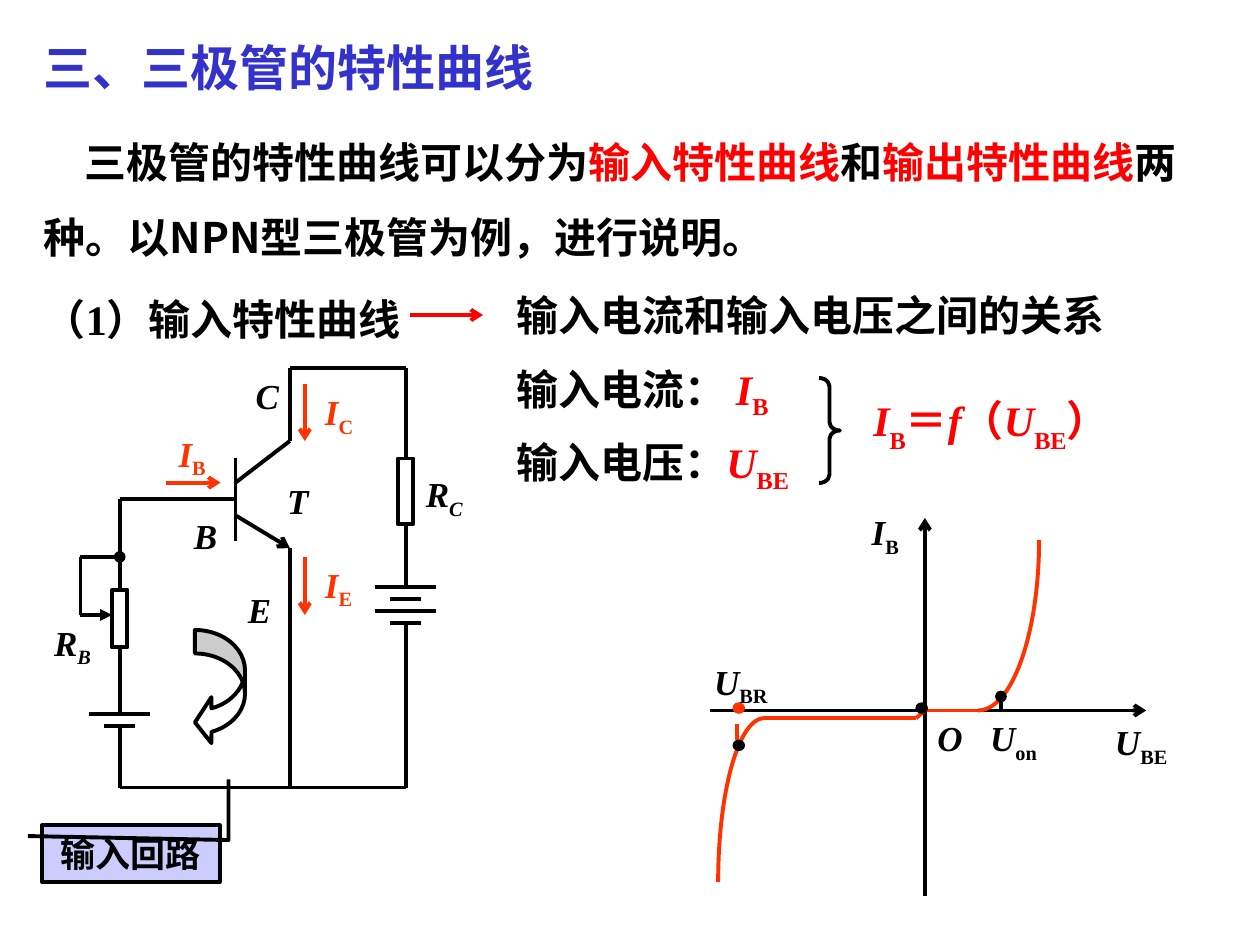
"""Build the slide on transistor characteristic curves with its circuit and input curve."""
from itertools import pairwise

from lxml.etree import SubElement
from pptx import Presentation
from pptx.dml.color import RGBColor
from pptx.enum.dml import MSO_LINE
from pptx.enum.shapes import MSO_CONNECTOR, MSO_SHAPE
from pptx.enum.text import MSO_ANCHOR, MSO_AUTO_SIZE, PP_ALIGN
from pptx.oxml.ns import qn
from pptx.util import Pt

BLACK = RGBColor(0x00, 0x00, 0x00)
WHITE = RGBColor(0xFF, 0xFF, 0xFF)
BLUE = RGBColor(0x33, 0x33, 0xCC)
RED = RGBColor(0xFF, 0x00, 0x00)
ORANGE = RGBColor(0xFF, 0x33, 0x00)
LILAC = RGBColor(0xCC, 0xCC, 0xFF)
TIMES, NOTO = "Times New Roman", "Noto Sans CJK SC"


def words(text, colour=BLACK, font=TIMES, italic=False, drop=0):
    return text, colour, font, italic, drop


def symbol(letter, index="", colour=BLACK, italic_index=False, drop=25):
    runs = [words(letter, colour, italic=True)]
    if index:
        runs.append(words(index, colour, italic=italic_index, drop=drop))
    return runs


TITLE = [words("三、", BLUE), words("三极管的特性曲线", BLUE, NOTO)]
INTRO = [
    words("三极管的特性曲线可以分为", font=NOTO),
    words("输入特性曲线", RED, NOTO),
    words("和", font=NOTO),
    words("输出特性曲线", RED, NOTO),
    words("两种。以NPN型三极管为例，进行说明。", font=NOTO),
]
FORMULA = [
    *symbol("I", "B", RED, drop=30),
    words("＝", RED, NOTO),
    words("f", RED, italic=True),
    words("（", RED, NOTO),
    *symbol("U", "BE", RED, drop=30),
    words("）", RED, NOTO),
]
STATEMENTS = [
    (18, 18, 558, 41, 28, 1, 0, TITLE),
    (18, 60, 684, 93.6, 24, 1.5, 23, INTRO),
    (18, 150, 534, 50.4, 24, 1.5, 0, [words("（1）输入特性曲线")]),
    (288, 162, 354, 36, 24, 1, 0, [words("输入电流和输入电压之间的关系")]),
    (288, 204, 342, 40, 24, 1, 0, [words("输入电流： "), *symbol("I", "B", RED)]),
    (288, 246, 342, 40, 24, 1, 0, [words("输入电压："), *symbol("U", "BE", RED)]),
    (492, 222, 180, 41, 24, 1, 0, FORMULA),
]
LABELS = [
    (103.7, 290.2, 44, symbol("B")),
    (139, 210.2, 44, symbol("C")),
    (134.6, 332.6, 44, symbol("E")),
    (157, 270.7, 44, symbol("T")),
    (95, 243.4, 66, symbol("I", "B", ORANGE)),
    (178.6, 219.6, 66, symbol("I", "C", ORANGE)),
    (178.6, 318.2, 66, symbol("I", "E", ORANGE)),
    (23.8, 351.4, 40, symbol("R", "B", italic_index=True)),
    (236.2, 266.4, 40, symbol("R", "C", italic_index=True)),
    (630, 408.2, 90, symbol("U", "BE")),
    (491, 288, 63, symbol("I", "B")),
    (528.5, 406, 35, symbol("O")),
    (401, 373.7, 57, symbol("U", "BR")),
    (558.7, 406, 57, symbol("U", "on")),
]

BASE_X, INNER_X, EMITTER_X, OUTER_X = 68.4, 134.6, 165.6, 231.8
TOP_Y, BASE_Y, BOTTOM_Y, TAP_Y = 210.2, 285.1, 450, 318.2
AXIS_X, AXIS_Y, REVERSE_Y = 528.5, 406, 410.4
WIRES = [
    [(INNER_X, BASE_Y), (BASE_X, BASE_Y), (BASE_X, 337)],
    [(INNER_X, 262), (INNER_X, 309)],
    [(INNER_X, 275.8), (EMITTER_X, 252), (EMITTER_X, TOP_Y), (OUTER_X, TOP_Y), (OUTER_X, 262)],
    [(EMITTER_X, 313.2), (EMITTER_X, BOTTOM_Y)],
    [(BASE_X, 370), (BASE_X, 408.2)],
    [(BASE_X, 415.4), (BASE_X, BOTTOM_Y), (OUTER_X, BOTTOM_Y), (OUTER_X, 355.7)],
    [(OUTER_X, 299.5), (OUTER_X, 335.5)],
    [(46, TAP_Y), (46, 351.4)],
]
BATTERIES = [(BASE_X, 408.2, 2), (OUTER_X, 335.5, 4)]
PLATE_GAP, PLATE_HALF_WIDTHS = 6.8, (17.6, 8.8)
RESISTORS = [(BASE_X, 337, 33), (OUTER_X, 262, 37.5)]
RESISTOR_WIDTH = 8.8
MARKED_LINES = [
    ((234, 180), (276, 180), RED, None, "arrow"),
    ((INNER_X, 294.5), (EMITTER_X, 313.2), BLACK, None, "arrow"),
    ((BASE_X, TAP_Y), (46, TAP_Y), BLACK, "oval", None),
    ((46, 351.4), (64, 351.4), BLACK, None, "triangle"),
    ((95, 275.8), (126, 275.8), ORANGE, None, "arrow"),
    ((174.2, 219.6), (174.2, 252), ORANGE, None, "arrow"),
    ((174.2, 318.2), (174.2, 351.4), ORANGE, None, "arrow"),
    ((406, AXIS_Y), (655, AXIS_Y), BLACK, None, "arrow"),
    ((AXIS_X, 296), (AXIS_X, 512), BLACK, "arrow", None),
]
FLAT_CURVE = [(558.7, AXIS_Y), (AXIS_X, AXIS_Y), (523.5, REVERSE_Y), (436.3, REVERSE_Y)]
BENDS = [((524, 211, 69.8, 195), 0, 90), ((410.4, REVERSE_Y, 52.6, 187.2), 180, 270)]
POINTS = [(422.2, 425.9, BLACK), (526.7, 404.6, BLACK), (422.2, 404.6, ORANGE)]


def write(frame, runs, size, spacing=1, indent=0):
    frame.word_wrap = True
    paragraph = frame.paragraphs[0]
    paragraph.line_spacing = spacing
    if indent:
        paragraph._p.get_or_add_pPr().set("indent", str(Pt(indent)))
    for text, colour, font, italic, drop in runs:
        run = paragraph.add_run()
        run.text = text
        run.font.name, run.font.size = font, Pt(size)
        run.font.bold, run.font.italic = True, italic
        run.font.color.rgb = colour
        properties = run.font._element
        if drop:
            properties.set("baseline", str(-drop * 1000))
        SubElement(properties, qn("a:ea"), typeface=NOTO)
    return paragraph


def add_text(slide, left, top, width, height, size, spacing, indent, runs):
    frame = slide.shapes.add_textbox(Pt(left), Pt(top), Pt(width), Pt(height)).text_frame
    frame.auto_size = MSO_AUTO_SIZE.SHAPE_TO_FIT_TEXT
    write(frame, runs, size, spacing, indent)


def add_line(slide, start, end, colour=BLACK, head=None, tail=None, dash=None):
    ends = [Pt(length) for length in (*start, *end)]
    line = slide.shapes.add_connector(MSO_CONNECTOR.STRAIGHT, *ends)
    line.line.color.rgb, line.line.width = colour, Pt(2.25)
    if dash:
        line.line.dash_style = dash
    for tag, kind in (("a:headEnd", head), ("a:tailEnd", tail)):
        if kind:
            SubElement(line.line._get_or_add_ln(), qn(tag), type=kind)
    SubElement(line._element.spPr, qn("a:effectLst"))


def add_path(slide, points, colour=BLACK):
    for start, end in pairwise(points):
        add_line(slide, start, end, colour)


def add_form(slide, kind, box, fill=None, colour=BLACK, width=2.25, adjust=()):
    form = slide.shapes.add_shape(kind, *[Pt(length) for length in box])
    form.shadow.inherit = False
    if fill is None:
        form.fill.background()
    else:
        form.fill.solid()
        form.fill.fore_color.rgb = fill
    form.line.color.rgb, form.line.width = colour, Pt(width)
    for index, value in enumerate(adjust):
        form.adjustments[index] = value
    return form


def draw_circuit(slide):
    for wire in WIRES:
        add_path(slide, wire)
    for x, top, plates in BATTERIES:
        for plate in range(plates):
            y, half = top + plate * PLATE_GAP, PLATE_HALF_WIDTHS[plate % 2]
            add_line(slide, (x - half, y), (x + half, y))
    for x, top, height in RESISTORS:
        box = (x - RESISTOR_WIDTH / 2, top, RESISTOR_WIDTH, height)
        add_form(slide, MSO_SHAPE.RECTANGLE, box, WHITE)
    add_form(slide, MSO_SHAPE.CURVED_LEFT_ARROW, (111.4, 360, 28.6, 66), WHITE,
             adjust=(0.47, 0.92, 0.33))
    loop = add_form(slide, MSO_SHAPE.LINE_CALLOUT_2, (24, 471.6, 101.5, 32.4), LILAC,
                    adjust=(0.19, -0.08, 0.26, 1.05, -0.81, 1.05))
    loop.text_frame.vertical_anchor = MSO_ANCHOR.MIDDLE
    write(loop.text_frame, [words("输入回路")], 20).alignment = PP_ALIGN.CENTER


def draw_curve(slide):
    add_path(slide, FLAT_CURVE, ORANGE)
    for box, start, end in BENDS:
        add_form(slide, MSO_SHAPE.ARC, box, colour=ORANGE, adjust=(start * 0.6, end * 0.6))
    add_line(slide, (421.4, 422.6), (421.4, 401.8), ORANGE, dash=MSO_LINE.DASH)
    add_line(slide, (572, 398), (572, AXIS_Y), head="oval")
    for centre_x, centre_y, colour in POINTS:
        box = (centre_x - 3.2, centre_y - 2.9, 6.4, 5.8)
        add_form(slide, MSO_SHAPE.OVAL, box, colour, colour, 0.75)


def main():
    deck = Presentation()
    deck.slide_width, deck.slide_height = Pt(720), Pt(540)
    slide = deck.slides.add_slide(deck.slide_layouts[6])
    for statement in STATEMENTS:
        add_text(slide, *statement)
    draw_circuit(slide)
    for marked_line in MARKED_LINES:
        add_line(slide, *marked_line)
    draw_curve(slide)
    add_form(slide, MSO_SHAPE.RIGHT_BRACE, (468, 216, 12, 60), adjust=(0.4, 0.5))
    for left, top, width, runs in LABELS:
        add_text(slide, left, top, width, 34, 20, 1, 0, runs)
    deck.save("out.pptx")


if __name__ == "__main__":
    main()
